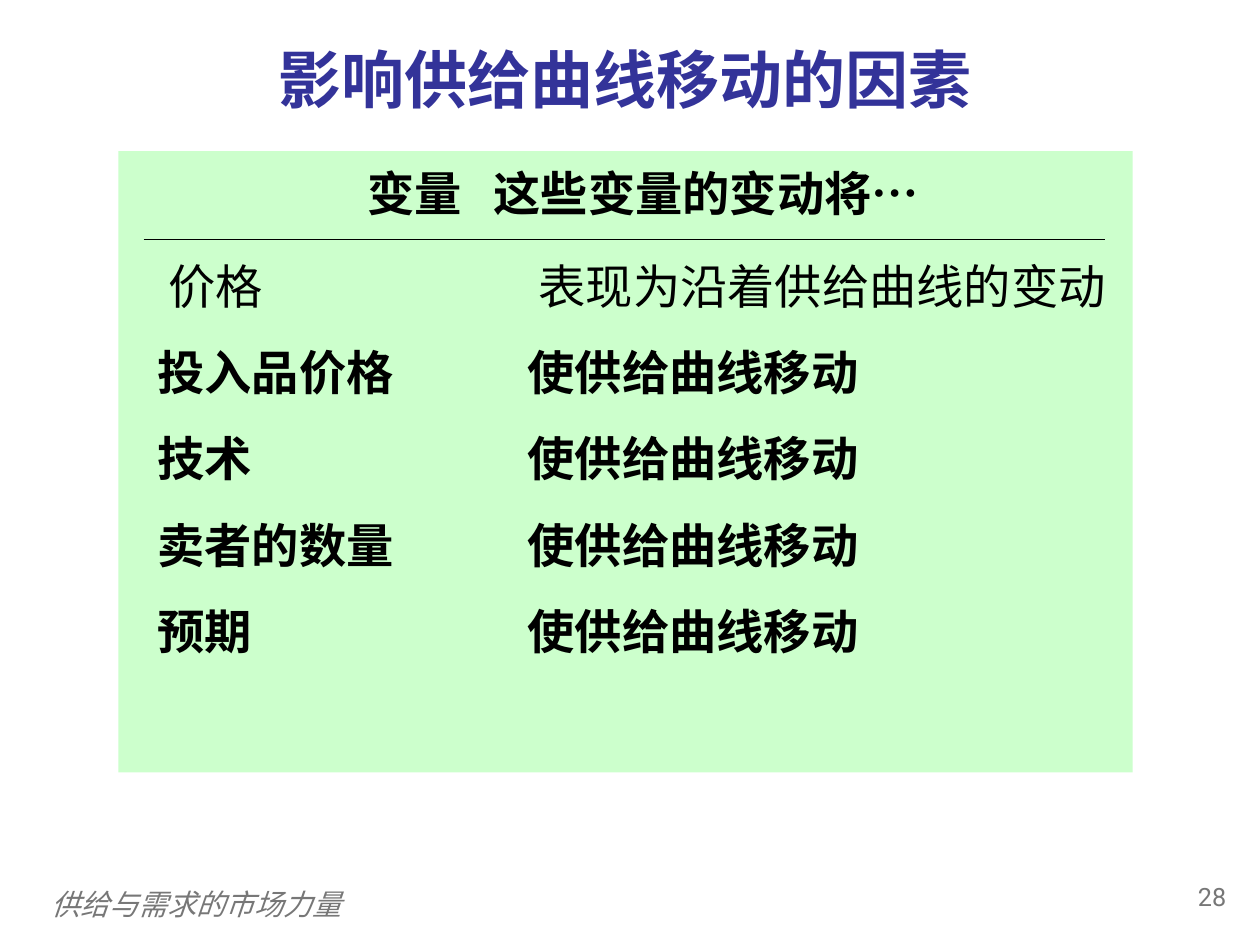
from dataclasses import dataclass

from lxml import etree
from pptx import Presentation
from pptx.dml.color import RGBColor
from pptx.enum.shapes import MSO_CONNECTOR, MSO_SHAPE
from pptx.enum.text import MSO_ANCHOR, PP_ALIGN
from pptx.oxml.ns import qn
from pptx.util import Inches, Pt

LEFT, CENTER, RIGHT = PP_ALIGN.LEFT, PP_ALIGN.CENTER, PP_ALIGN.RIGHT
TOP, MIDDLE = MSO_ANCHOR.TOP, MSO_ANCHOR.MIDDLE
RECTANGLE = MSO_SHAPE.RECTANGLE
STRAIGHT = MSO_CONNECTOR.STRAIGHT
PADDING = (0.1, 0.05, 0.1, 0.05)


@dataclass(frozen=True)
class Theme:
    ink: str = "000000"
    title_color: str = "333399"
    panel: str = "CCFFCC"
    muted: str = "777777"
    title_size: float = 36
    body_size: float = 27
    footer_size: float = 16.6
    number_size: float = 14.4
    title_font: str = "Cambria"
    body_font: str = "Arial"
    number_font: str = "Roboto"


def add_tab_stop(para, position):
    tab_list = etree.SubElement(para._p.get_or_add_pPr(), qn("a:tabLst"))
    etree.SubElement(tab_list, qn("a:tab"), pos=str(Inches(position)), algn="l")


def write_paragraph(para, text, *, size, font, color, bold=False, italic=False,
                    align=LEFT, line_spacing=1.0, space_before=0, tab_stop=None):
    para.alignment = align
    para.line_spacing = line_spacing
    para.space_before = Pt(space_before)
    if tab_stop is not None:
        add_tab_stop(para, tab_stop)
    span = para.add_run()
    span.text = text
    span.font.size = Pt(size)
    span.font.name = font
    span.font.bold = bold
    span.font.italic = italic
    span.font.color.rgb = RGBColor.from_string(color)


class SlideBuilder:
    def __init__(self, page, theme):
        self.page = page
        self.theme = theme

    def panel(self, left, top, width, height):
        shape = self.page.shapes.add_shape(
            RECTANGLE, Inches(left), Inches(top), Inches(width), Inches(height))
        shape.shadow.inherit = False
        shape.fill.solid()
        shape.fill.fore_color.rgb = RGBColor.from_string(self.theme.panel)
        shape.line.fill.background()

    def text_frame(self, left, top, width, height, insets=PADDING, anchor=TOP):
        box = self.page.shapes.add_textbox(
            Inches(left), Inches(top), Inches(width), Inches(height))
        frame = box.text_frame
        frame.word_wrap = True
        frame.vertical_anchor = anchor
        (frame.margin_left, frame.margin_top,
         frame.margin_right, frame.margin_bottom) = map(Inches, insets)
        return frame

    def text(self, text, *place, insets=PADDING, anchor=TOP, **style):
        frame = self.text_frame(*place, insets=insets, anchor=anchor)
        write_paragraph(frame.paragraphs[0], text, **style)

    def factor_rows(self, rows, *place, tab_stop, gap):
        """Write tabbed rows; the first is plain and centred, the rest bold."""
        frame = self.text_frame(*place)
        for index, row in enumerate(rows):
            first = index == 0
            para = frame.paragraphs[0] if first else frame.add_paragraph()
            write_paragraph(
                para, "\t".join(row), size=self.theme.body_size,
                font=self.theme.body_font, color=self.theme.ink,
                bold=not first, align=CENTER if first else LEFT,
                space_before=0 if first else gap, tab_stop=tab_stop)

    def rule(self, left, right, y):
        line = self.page.shapes.add_connector(
            STRAIGHT, Inches(left), Inches(y), Inches(right), Inches(y))
        line.line.color.rgb = RGBColor.from_string(self.theme.ink)
        line.line.width = Pt(0.75)
        etree.SubElement(line._element.spPr, qn("a:effectLst"))


def main():
    deck = Presentation()
    deck.slide_width, deck.slide_height = Inches(10), Inches(7.5)
    theme = Theme()
    slide = SlideBuilder(deck.slides.add_slide(deck.slide_layouts[6]), theme)

    slide.text("供给与需求的市场力量", 0.31, 6.99, 8.02, 0.4, anchor=MIDDLE,
               size=theme.footer_size, font=theme.body_font, color=theme.muted,
               italic=True, line_spacing=0.9)
    slide.text("28", 9.08, 6.97, 0.75, 0.4,
               size=theme.number_size, font=theme.number_font, color=theme.muted,
               align=RIGHT, line_spacing=0.9)

    slide.panel(0.94, 1.2, 8.05, 4.93)
    slide.text("影响供给曲线移动的因素", 0.06, 0.28, 9.8, 0.69,
               insets=(0, 0, 0, 0), anchor=MIDDLE, size=theme.title_size,
               font=theme.title_font, color=theme.title_color, bold=True, align=CENTER)
    slide.text("变量\t这些变量的变动将…", 0.93, 1.28, 8.45, 0.59,
               insets=(0, 0, 0.1, 0), size=theme.body_size, font=theme.body_font,
               color=theme.ink, bold=True, align=CENTER, line_spacing=1.05, tab_stop=1)

    shifting_factors = ["投入品价格", "技术", "卖者的数量", "预期"]
    rows = [("价格", "表现为沿着供给曲线的变动")]
    rows += [(factor, "使供给曲线移动") for factor in shifting_factors]
    slide.factor_rows(rows, 1.15, 1.99, 7.81, 4.44, tab_stop=2.94, gap=16.9)
    slide.rule(1.14, 8.77, 1.9)

    deck.save("out.pptx")


if __name__ == "__main__":
    main()
